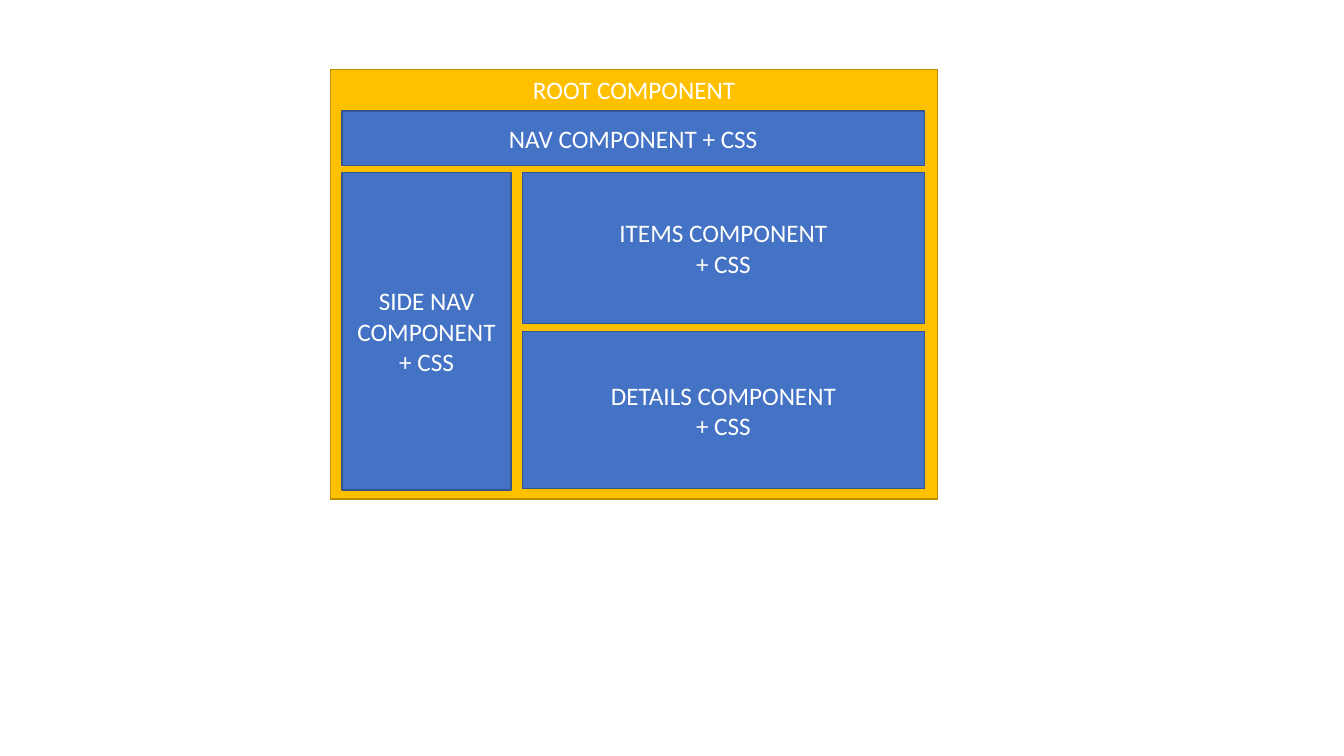
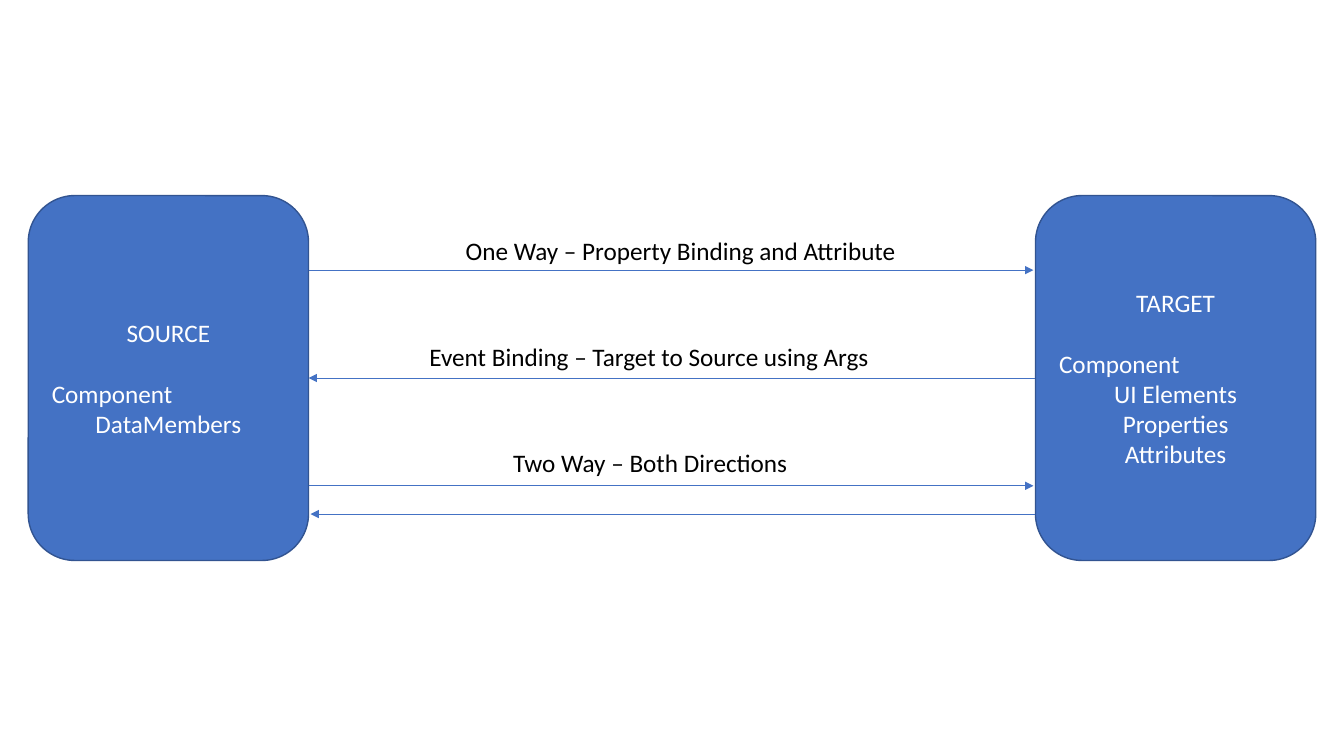
from lxml import etree
from pptx import Presentation
from pptx.dml.color import RGBColor
from pptx.enum import shapes, text
from pptx.oxml import ns
from pptx.util import Inches, Pt

THEME = {
    "font": {"name": "Calibri", "size": Pt(18)},
    "blue": RGBColor.from_string("4472C4"),
    "blue_edge": RGBColor.from_string("325491"),
    "gold": RGBColor.from_string("FFC000"),
    "gold_edge": RGBColor.from_string("BD8E00"),
    "white": RGBColor.from_string("FFFFFF"),
    "black": RGBColor.from_string("000000"),
    "edge_width": Pt(1),
    "arrow_width": Pt(0.5),
    "heading_gap": Pt(22),
}
CENTER, LEFT = text.PP_ALIGN.CENTER, text.PP_ALIGN.LEFT
RECT = shapes.MSO_SHAPE.RECTANGLE
ROUND_RECT = shapes.MSO_SHAPE.ROUNDED_RECTANGLE


def write_lines(tf, lines, color):
    """Fill a text frame with one paragraph per (string, paragraph format) pair."""
    for i, (string, fmt) in enumerate(lines):
        p = tf.paragraphs[0] if i == 0 else tf.add_paragraph()
        for name, value in fmt.items():
            setattr(p, name, value)
        r = p.add_run()
        r.text = string
        for name, value in THEME["font"].items():
            setattr(r.font, name, value)
        r.font.color.rgb = color


def add_box(slide, kind, at, lines, color="blue", anchor=text.MSO_ANCHOR.MIDDLE):
    sp = slide.shapes.add_shape(kind, *map(Inches, at))
    sp.shadow.inherit = False
    sp.fill.solid()
    sp.fill.fore_color.rgb = THEME[color]
    sp.line.color.rgb = THEME[color + "_edge"]
    sp.line.width = THEME["edge_width"]
    sp.text_frame.word_wrap = True
    sp.text_frame.vertical_anchor = anchor
    write_lines(sp.text_frame, lines, THEME["white"])
    return sp


prs = Presentation()
prs.slide_width, prs.slide_height = Inches(13.33), Inches(7.5)
blank = prs.slide_layouts[6]
centered = {"alignment": CENTER}

# Slide 1: page layout made of nested components
slide = prs.slides.add_slide(blank)
add_box(slide, RECT, (3.28, 0.69, 6.02, 4.26), [("ROOT COMPONENT", centered)],
        "gold", text.MSO_ANCHOR.TOP)

left, right, main_left, body_top = 3.39, 9.17, 5.18, 1.71
main_width = right - main_left
components = [
    ((left, 1.1, right - left, 0.54), ["NAV COMPONENT + CSS"]),
    ((left, body_top, 1.68, 3.15), ["SIDE NAV COMPONENT", "+ CSS"]),
    ((main_left, body_top, main_width, 1.5), ["ITEMS COMPONENT", "+ CSS"]),
    ((main_left, 3.29, main_width, 1.56), ["DETAILS COMPONENT", "+ CSS"]),
]
for at, strings in components:
    add_box(slide, RECT, at, [(s, centered) for s in strings])

# Slide 2: data binding between source and target
slide = prs.slides.add_slide(blank)
heading = {"alignment": CENTER, "space_after": THEME["heading_gap"]}
ends = []
for x, title, members in [
    (0.28, "SOURCE", ["DataMembers"]),
    (10.27, "TARGET", ["UI Elements", "Properties", "Attributes"]),
]:
    lines = [(title, heading), ("Component", {"alignment": LEFT})]
    lines += [(m, centered) for m in members]
    ends.append(add_box(slide, ROUND_RECT, (x, 1.94, 2.78, 3.62), lines))
source, target = ends

arrows = [(3.06, 10.25, 2.68), (10.27, 3.06, 3.75), (3.06, 10.25, 4.82), (10.27, 3.08, 5.1)]
connectors = []
for start, end, y in arrows:
    line = slide.shapes.add_connector(
        shapes.MSO_CONNECTOR.STRAIGHT, Inches(start), Inches(y), Inches(end), Inches(y))
    line.line.color.rgb = THEME["blue"]
    line.line.width = THEME["arrow_width"]
    etree.SubElement(line.line._get_or_add_ln(), ns.qn("a:tailEnd"), type="triangle")
    etree.SubElement(line._element.spPr, ns.qn("a:effectLst"))
    connectors.append(line)
event_arrow = connectors[1]
event_arrow.begin_connect(target, 1)
event_arrow.end_connect(source, 3)

labels = [
    ((4.52, 2.29, 4.52), "One Way – Property Binding and Attribute"),
    ((4.16, 3.34, 4.61), "Event Binding – Target to Source using Args"),
    ((4.99, 4.39, 2.95), "Two Way – Both Directions"),
]
for at, string in labels:
    tf = slide.shapes.add_textbox(*map(Inches, (*at, 0.4))).text_frame
    tf.word_wrap = False
    tf.auto_size = text.MSO_AUTO_SIZE.SHAPE_TO_FIT_TEXT
    write_lines(tf, [(string, {"alignment": LEFT})], THEME["black"])

prs.save("out.pptx")
